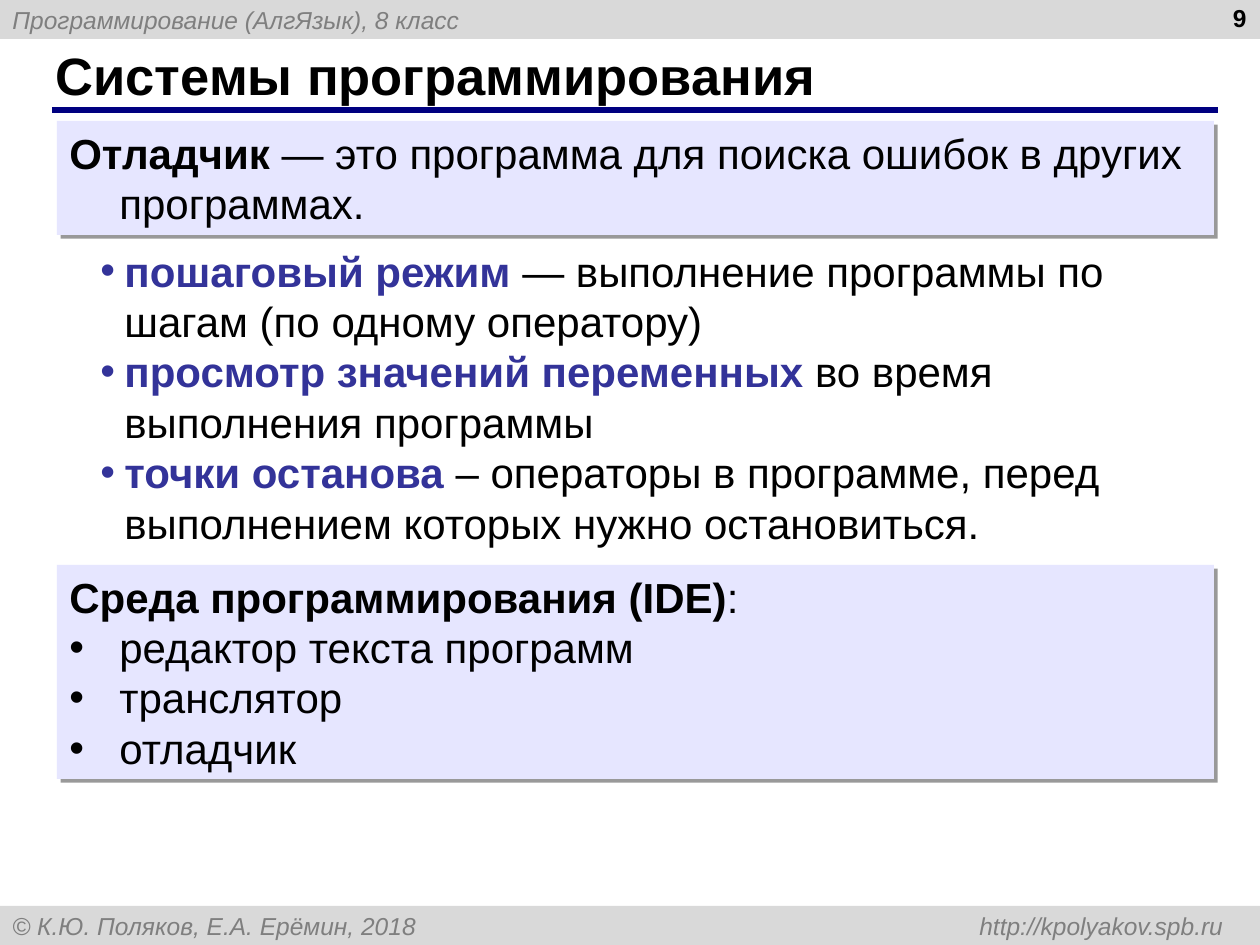
from lxml import etree
from pptx import Presentation
from pptx import util as u
from pptx.dml.color import RGBColor
from pptx.enum import shapes, text
from pptx.oxml import ns

PX = 914400 / 126
BLACK = RGBColor(0, 0, 0)
GREY = RGBColor(0x7F, 0x7F, 0x7F)
BAND = RGBColor(0xD9, 0xD9, 0xD9)
NAVY = RGBColor(0, 0, 0x80)
BLUE = RGBColor(0x33, 0x33, 0x99)
LILAC = RGBColor(0xE6, 0xE6, 0xFF)
TOP, MID = text.MSO_ANCHOR.TOP, text.MSO_ANCHOR.MIDDLE
LEFT, RIGHT = text.PP_ALIGN.LEFT, text.PP_ALIGN.RIGHT
GROW = text.MSO_AUTO_SIZE.SHAPE_TO_FIT_TEXT
FIXED = text.MSO_AUTO_SIZE.NONE
PLAIN, BOLD, TERM = {}, {"bold": True}, {"bold": True, "color": BLUE}
SMALL = {"size": u.Pt(14), "italic": True, "color": GREY}


def px(*nums):
    """Turn px into EMU."""
    return [u.Emu(round(num * PX)) for num in nums]


def node(parent, tag, **attrs):
    """Append an XML element with the given attributes."""
    child = etree.SubElement(parent, ns.qn(tag))
    for key, value in attrs.items():
        child.set(key, str(value))
    return child


def style(font, form):
    """Set the font attributes held in a dict."""
    base = {"name": "Arial", "size": u.Pt(24), "bold": False, "color": BLACK}
    for key, value in (base | form).items():
        if key == "color":
            font.color.rgb = value
        else:
            setattr(font, key, value)


def indent(para, size, mark=None):
    """Give a paragraph a hanging indent and, with a mark colour, a bullet."""
    props = para._p.get_or_add_pPr()
    left = px(size)[0]
    props.set("marL", str(left))
    props.set("indent", str(-left))
    if mark is not None:
        node(node(props, "a:buClr"), "a:srgbClr", val=mark)
        node(props, "a:buFont", typeface="Arial")
        node(props, "a:buChar", char="•")


def write(shape, paras, hang=0, align=LEFT, anchor=TOP, fit=FIXED):
    """Fill a shape with paragraphs, each a bullet colour and its runs."""
    frame = shape.text_frame
    form = {"word_wrap": True, "auto_size": fit, "vertical_anchor": anchor}
    for key, value in form.items():
        setattr(frame, key, value)
    for num, (mark, runs) in enumerate(paras):
        para = frame.add_paragraph() if num else frame.paragraphs[0]
        para.alignment = align
        if hang:
            indent(para, hang, mark)
        for words, look in runs:
            run = para.add_run()
            run.text = words
            style(run.font, look)


def block(slide, area, fill):
    """Add a filled rectangle without outline."""
    shape = slide.shapes.add_shape(shapes.MSO_SHAPE.RECTANGLE, *px(*area))
    shape.shadow.inherit = False
    shape.fill.solid()
    shape.fill.fore_color.rgb = fill
    shape.line.fill.background()
    return shape


def band(slide, top, words):
    """Add a grey strip across the slide."""
    shape = block(slide, (0, top, 1260, 39), BAND)
    write(shape, [(None, [(words, SMALL)])], anchor=MID)
    return shape


def card(slide, top, height, paras):
    """Add a lilac panel with a hard shadow."""
    shape = block(slide, (57, top, 1157, height), LILAC)
    effect = shape._element.spPr.find(ns.qn("a:effectLst"))
    cast = node(effect, "a:outerShdw", blurRad=0, dist=u.Pt(3),
                dir=45 * 60000, algn="ctr", rotWithShape=0)
    node(node(cast, "a:srgbClr", val=BLACK), "a:alpha", val=40000)
    write(shape, paras, hang=50, fit=GROW)


def label(slide, area, paras, **form):
    """Add a text box."""
    write(slide.shapes.add_textbox(*px(*area)), paras, **form)


def head(slide, words):
    """Place the title and the rule under it."""
    rule = slide.shapes.add_connector(
        shapes.MSO_CONNECTOR.STRAIGHT, *px(52, 110, 1218, 110))
    rule.line.color.rgb = NAVY
    rule.line.width = u.Pt(3)
    node(rule._element.spPr, "a:effectLst")
    title = slide.shapes.title
    sides = ("left", "top", "width", "height")
    for side, value in zip(sides, px(43, 42, 1154, 66)):
        setattr(title, side, value)
    write(title, [(None, [(words, BOLD | {"size": u.Pt(30)})])], anchor=MID)


def main():
    """Build the slide and save it."""
    deck = Presentation()
    deck.slide_width, deck.slide_height = px(1260, 945)
    slide = deck.slides.add_slide(deck.slide_layouts[5])

    band(slide, 0, "Программирование (АлгЯзык), 8 класс")
    foot = band(slide, 906,
                "© К.Ю. Поляков, Е.А. Ерёмин, 2018 \thttp://kpolyakov.spb.ru")
    props = foot.text_frame.paragraphs[0]._p.get_or_add_pPr()
    node(node(props, "a:tabLst"), "a:tab", pos=px(1211)[0], algn="r")

    head(slide, "Системы программирования")
    label(slide, (965, -3, 294, 66),
          [(None, [("9", BOLD | {"size": u.Pt(14)})])], align=RIGHT)

    card(slide, 121, 114, [(None, [
        ("Отладчик ", BOLD),
        ("— это программа для поиска ошибок в других программах.", PLAIN)])])

    tools = [
        ("пошаговый режим ",
         "— выполнение программы по шагам (по одному оператору)"),
        ("просмотр значений переменных ", "во время выполнения программы"),
        ("точки останова", " – операторы в программе, перед "
         "выполнением которых нужно остановиться."),
    ]
    label(slide, (88, 239, 1114, 315),
          [(BLUE, [(term, TERM), (rest, PLAIN)]) for term, rest in tools],
          hang=24, fit=GROW)

    parts = ["редактор текста программ", "транслятор", "отладчик"]
    card(slide, 565, 214,
         [(None, [("Среда программирования (IDE)", BOLD), (":", PLAIN)])]
         + [(BLACK, [(part, PLAIN)]) for part in parts])

    deck.save("out.pptx")


if __name__ == "__main__":
    main()
